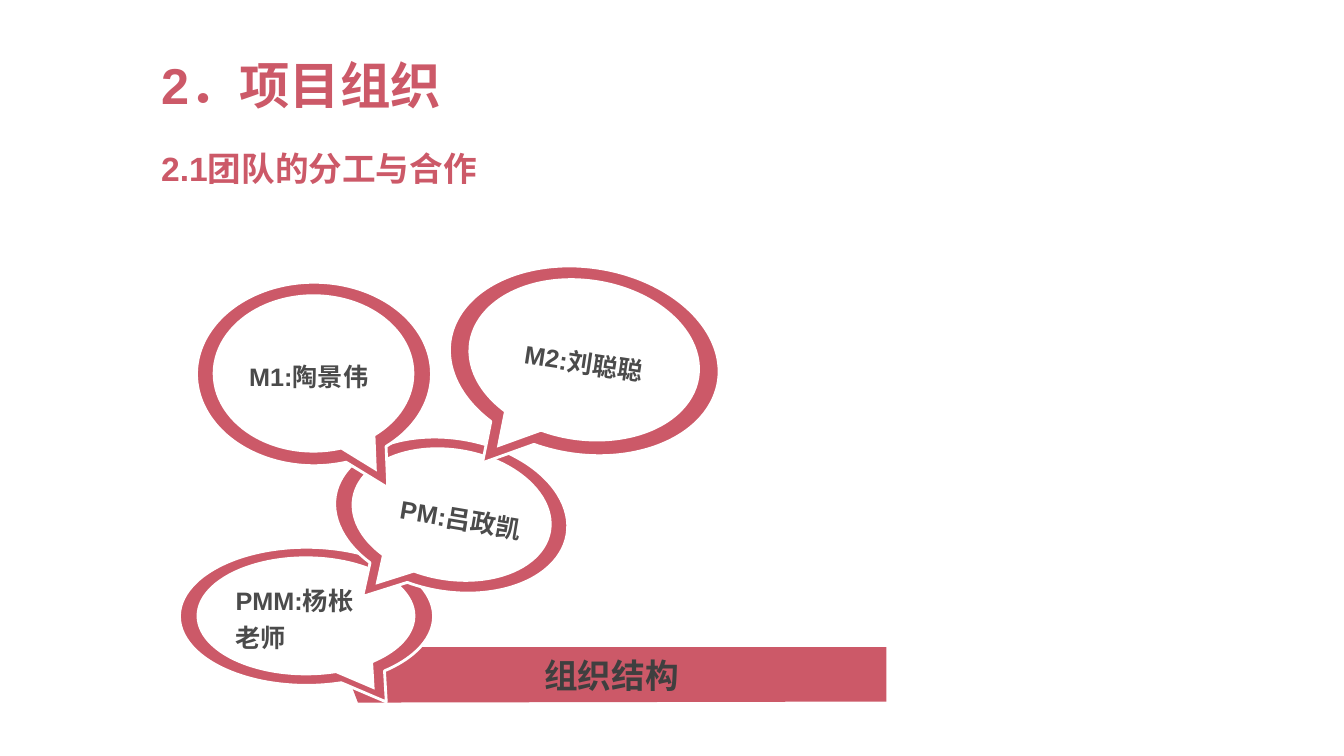
from pptx import Presentation
from pptx.util import Inches, Pt
from pptx.dml.color import RGBColor
from pptx.enum import shapes, text

COLORS = {"rose": "CC5968", "white": "FFFFFF", "name": "4B4B4B", "banner": "3F3F3F"}


def paint(sp, fill, line=None):
    sp.shadow.inherit = False
    sp.fill.solid()
    sp.fill.fore_color.rgb = RGBColor.from_string(COLORS[fill])
    if line:
        sp.line.color.rgb = RGBColor.from_string(COLORS[line])
        sp.line.width = Pt(2)
    else:
        sp.line.fill.background()


def write(sp, words, size, color, anchor, align, spacing, insets):
    """Set one bold paragraph; insets run left, top, right, bottom in inches."""
    tf = sp.text_frame
    tf.word_wrap = True
    tf.vertical_anchor = anchor
    tf.margin_left, tf.margin_top, tf.margin_right, tf.margin_bottom = map(Inches, insets)
    p = tf.paragraphs[0]
    p.alignment = align
    p.line_spacing = spacing
    r = p.add_run()
    r.text = words
    r.font.size = Pt(size)
    r.font.name = "Arial"
    r.font.bold = True
    r.font.color.rgb = RGBColor.from_string(COLORS[color])


prs = Presentation()
prs.slide_width, prs.slide_height = Inches(13.33), Inches(7.5)
s = prs.slides.add_slide(prs.slide_layouts[6])

LEFT, CENTER = text.PP_ALIGN.LEFT, text.PP_ALIGN.CENTER
MIDDLE, BOTTOM = text.MSO_ANCHOR.MIDDLE, text.MSO_ANCHOR.BOTTOM
INSETS = (0.07, 0.04, 0.07, 0.04)

# Banner under the speech bubbles
outline = s.shapes.build_freeform(Inches(8.79), Inches(6.96))
outline.add_line_segments(
    [(Inches(x), Inches(y)) for x, y in ((3.55, 6.97), (3.34, 6.42), (8.79, 6.42))])
banner = outline.convert_to_shape()
paint(banner, "rose")
write(banner, "组织结构", 24, "banner", MIDDLE, CENTER, 1.0, INSETS)

# Speech bubbles: words, outer box, inner box, rotation, mirrored, alignment, insets
bubbles = [
    ("PMM:杨枨老师", (1.78, 5.43, 2.52, 1.37), (1.95, 5.52, 2.17, 1.18), 0, False, LEFT, INSETS),
    ("PM:吕政凯", (3.31, 4.35, 2.33, 1.52), (3.48, 4.45, 2, 1.31), 9.6, True, LEFT,
     (0.2, 0.04, 0, 0.04)),
    ("M1:陶景伟", (1.95, 2.8, 2.33, 1.82), (2.11, 2.92, 2, 1.57), 0, False, LEFT, INSETS),
    ("M2:刘聪聪", (4.45, 2.65, 2.69, 1.86), (4.64, 2.77, 2.31, 1.6), 8.7, True, CENTER, INSETS),
]
for words, outer, inner, rotation, mirrored, align, insets in bubbles:
    group = s.shapes.add_group_shape()
    for box, fill, line in ((outer, "rose", "white"), (inner, "white", None)):
        sp = group.shapes.add_shape(shapes.MSO_SHAPE.OVAL_CALLOUT, *map(Inches, box))
        sp.adjustments[0], sp.adjustments[1] = 0.314, 0.62
        sp.rotation = rotation
        if mirrored:
            sp._element.spPr.xfrm.set("flipH", "1")
        paint(sp, fill, line)
    write(sp, words, 18, "name", MIDDLE, align, 1.2, insets)

# Headings
for words, top, size in (("2.1团队的分工与合作", 1.19, 24), ("2．项目组织", 0.46, 36)):
    heading = s.shapes.add_textbox(Inches(1.5), Inches(top), Inches(10.03), Inches(0.73))
    write(heading, words, size, "rose", BOTTOM, LEFT, 0.9, (0.1, 0.05, 0.1, 0.05))

prs.save("out.pptx")
